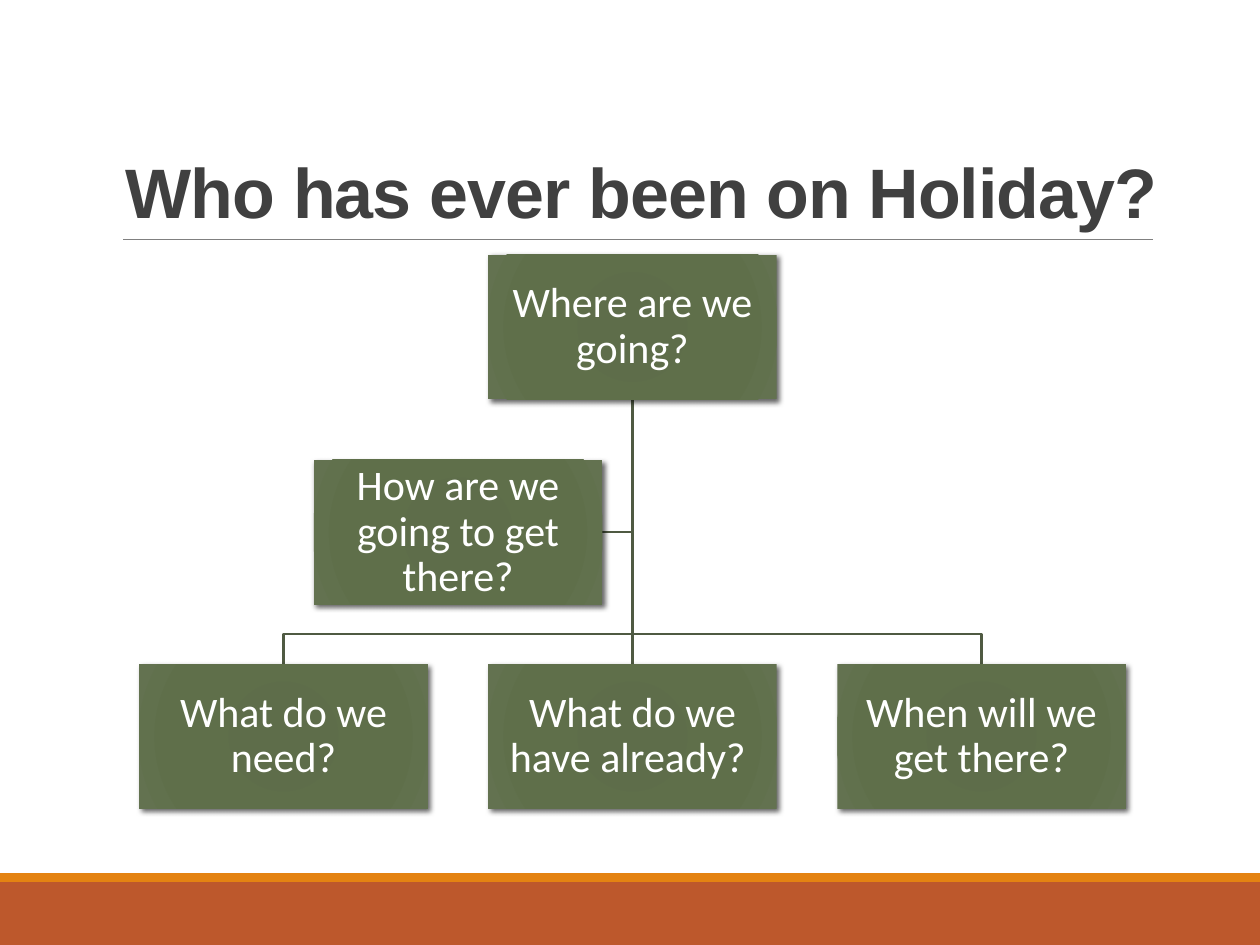
import pptx
import pptx.util
import pptx.dml.color
import pptx.enum.shapes
import pptx.enum.text
import pptx.oxml
import pptx.oxml.ns

Inches, Pt = pptx.util.Inches, pptx.util.Pt
NS = pptx.oxml.ns.nsdecls("a")
COLORS = {"band": "BD582C", "stripe": "E48312", "rule": "808080",
          "title": "404040", "link": "4F5A42", "text": "FFFFFF", "shadow": "000000"}
BOX_STOPS = {0: "5D6D48", 34: "5E6D4A", 70: "5F6F4A", 100: "637250"}
BOX_W, BOX_H = 2.29, 1.15


def rgb(name):
    return pptx.dml.color.RGBColor.from_string(COLORS[name])


class Deck:
    def __init__(self, width, height):
        self.prs = pptx.Presentation()
        self.prs.slide_width, self.prs.slide_height = Inches(width), Inches(height)
        self.slide = self.prs.slides.add_slide(self.prs.slide_layouts[6])

    def rect(self, x, y, w, h, color=None):
        sp = self.slide.shapes.add_shape(
            pptx.enum.shapes.MSO_SHAPE.RECTANGLE, Inches(x), Inches(y), Inches(w), Inches(h))
        sp.shadow.inherit = False
        sp.line.fill.background()
        if color:
            sp.fill.solid()
            sp.fill.fore_color.rgb = rgb(color)
        return sp

    def line(self, x1, y1, x2, y2, color, width):
        ln = self.slide.shapes.add_connector(
            pptx.enum.shapes.MSO_CONNECTOR.STRAIGHT, Inches(x1), Inches(y1), Inches(x2), Inches(y2))
        ln.line.color.rgb = rgb(color)
        ln.line.width = Pt(width)
        ln._element.spPr.append(pptx.oxml.parse_xml(f"<a:effectLst {NS}/>"))

    def elbow(self, points, color, width):
        pts = [(Inches(x), Inches(y)) for x, y in points]
        builder = self.slide.shapes.build_freeform(*pts[0])
        builder.add_line_segments(pts[1:], close=False)
        sp = builder.convert_to_shape()
        sp.shadow.inherit = False
        sp.fill.background()
        sp.line.color.rgb = rgb(color)
        sp.line.width = Pt(width)

    def set_text(self, sp, text, font, size, color, spacing):
        tf = sp.text_frame
        tf.word_wrap = True
        p = tf.paragraphs[0]
        p.line_spacing = spacing
        p.font.name, p.font.size = font, Pt(size)
        p.font.color.rgb = rgb(color)
        r = p.add_run()
        r.text = text
        return tf, p, r

    def title(self, text, x, y, w, h):
        sp = self.slide.shapes.add_textbox(Inches(x), Inches(y), Inches(w), Inches(h))
        tf, p, r = self.set_text(sp, text, "Arial", 40, "title", 0.85)
        tf.vertical_anchor = pptx.enum.text.MSO_ANCHOR.BOTTOM
        p.font.bold = True
        r._r.get_or_add_rPr().set("spc", "-50")

    def box(self, text, cx, y):
        sp = self.rect(cx - BOX_W / 2, y, BOX_W, BOX_H)
        # Radial gradient
        sp.fill.background()
        stops = "".join(f'<a:gs pos="{pos * 1000}"><a:srgbClr val="{color}"/></a:gs>'
                        for pos, color in BOX_STOPS.items())
        grad = pptx.oxml.parse_xml(
            f'<a:gradFill {NS} rotWithShape="1"><a:gsLst>{stops}</a:gsLst><a:path path="circle">'
            '<a:fillToRect l="100000" t="100000" r="100000" b="100000"/></a:path></a:gradFill>')
        spPr = sp._element.spPr
        spPr.replace(spPr.find(pptx.oxml.ns.qn("a:noFill")), grad)
        # Soft shadow to the lower right
        spPr.find(pptx.oxml.ns.qn("a:effectLst")).append(pptx.oxml.parse_xml(
            f'<a:outerShdw {NS} blurRad="{Pt(3)}" dist="{Pt(2)}" dir="2700000" rotWithShape="0">'
            f'<a:srgbClr val="{COLORS["shadow"]}"><a:alpha val="60000"/></a:srgbClr></a:outerShdw>'))
        tf, p, r = self.set_text(sp, text, "Calibri", 24, "text", 0.9)
        tf.vertical_anchor = pptx.enum.text.MSO_ANCHOR.MIDDLE
        tf.margin_left = tf.margin_right = tf.margin_top = tf.margin_bottom = Inches(0.02)
        p.alignment = pptx.enum.text.PP_ALIGN.CENTER


def main():
    deck = Deck(10, 7.5)

    # Footer bands, title and rule
    deck.rect(0, 7, 10, 0.5, "band")
    deck.rect(0, 6.93, 10, 0.07, "stripe")
    deck.line(0.98, 1.9, 9.15, 1.9, "rule", 0.5)
    deck.title("Who has ever been on Holiday?", 0.9, 0.31, 8.51, 1.59)

    # Chart grid: three columns, three levels
    center, pitch = 5.02, 2.77
    top, middle, bottom = 2.02, 3.65, 5.27
    trunk, branch = top + BOX_H, 5.03
    side = center - pitch / 2

    # Links
    deck.elbow([(center, trunk), (center, middle + BOX_H / 2),
                (side + BOX_W / 2, middle + BOX_H / 2)], "link", 1.25)
    for x in (center + pitch, center - pitch):
        deck.elbow([(center, trunk), (center, branch), (x, branch), (x, bottom)], "link", 1.25)
    deck.line(center, trunk, center, bottom, "link", 1.25)

    # Question boxes
    deck.box("Where are we going?", center, top)
    questions = ["What do we need?", "What do we have already? ", "When will we get there?"]
    for i, text in enumerate(questions):
        deck.box(text, center + (i - 1) * pitch, bottom)
    deck.box("How are we going to get there?", side, middle)

    deck.prs.save("out.pptx")


if __name__ == "__main__":
    main()
